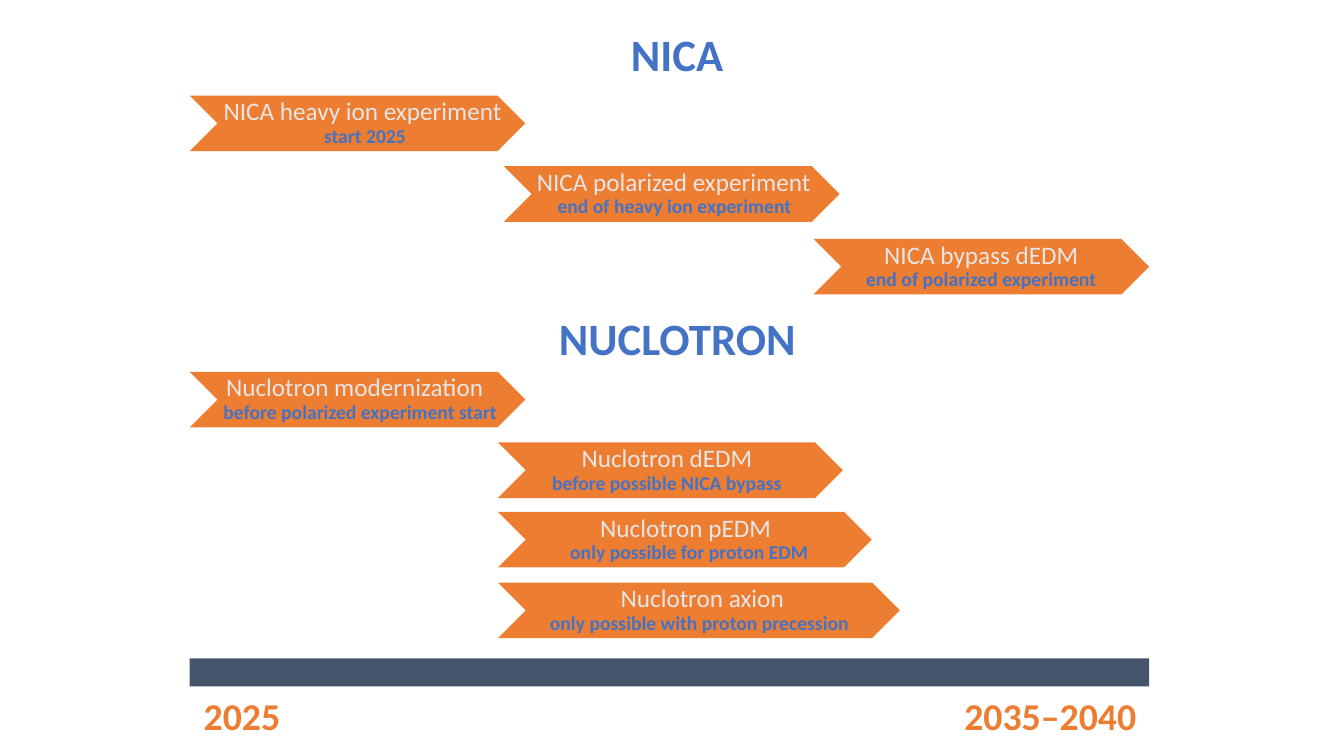
from dataclasses import dataclass

from pptx import Presentation
from pptx.dml.color import RGBColor
from pptx.enum.shapes import MSO_SHAPE as Kind
from pptx.enum.text import MSO_ANCHOR as Anchor, MSO_AUTO_SIZE as Fit, PP_ALIGN as Align
from pptx.shapes.base import BaseShape
from pptx.slide import Slide
from pptx.util import Cm, Pt

BLUE = RGBColor(0x44, 0x72, 0xC4)
ORANGE = RGBColor(0xED, 0x7D, 0x31)
SLATE = RGBColor(0x44, 0x54, 0x6A)
PALE = RGBColor(0xE7, 0xE6, 0xE6)


@dataclass
class Style:
    size: float
    color: RGBColor
    bold: bool = True
    anchor: Anchor = Anchor.MIDDLE
    spacing: float = 1.0


@dataclass
class Phase:
    left: float
    top: float
    width: float
    name: str
    name_mid: float
    note: str
    note_mid: float


HEAD = Style(32, BLUE, anchor=Anchor.BOTTOM, spacing=0.8)
NAME = Style(18, PALE, bold=False)
NOTE = Style(14, BLUE)
YEAR = Style(27, ORANGE)

PHASES = [
    Phase(4.78, 2.41, 8.46, "NICA heavy ion experiment", 9.14, "start 2025", 9.2),
    Phase(12.7, 4.19, 8.46, "NICA polarized experiment", 16.98, "end of heavy ion experiment", 17),
    Phase(20.5, 6.02, 8.46, "NICA bypass dEDM", 24.73, "end of polarized experiment", 24.73),
    Phase(4.78, 9.37, 8.46, "Nuclotron modernization", 8.94, "before polarized experiment start", 9.08),
    Phase(12.55, 11.15, 8.69, "Nuclotron dEDM", 16.81, "before possible NICA bypass", 16.81),
    Phase(12.55, 12.9, 9.42, "Nuclotron pEDM", 17.28, "only possible for proton EDM", 17.37),
    Phase(12.55, 14.68, 10.13, "Nuclotron axion", 17.7, "only possible with proton precession", 17.63),
]


def write(box: BaseShape, text: str, style: Style) -> None:
    frame = box.text_frame
    frame.auto_size = Fit.NONE
    frame.word_wrap = True
    frame.vertical_anchor = style.anchor
    frame.margin_left = frame.margin_right = 0
    frame.margin_top = frame.margin_bottom = 0
    para = frame.paragraphs[0]
    para.alignment = Align.CENTER
    para.line_spacing = style.spacing
    run = para.add_run()
    run.text = text
    font = run.font
    font.name = "Calibri"
    font.size = Pt(style.size)
    font.bold = style.bold
    font.color.rgb = style.color


def label(slide: Slide, text: str, mid: float, top: float, width: float,
          height: float, style: Style) -> None:
    box = slide.shapes.add_textbox(Cm(mid - width / 2), Cm(top), Cm(width), Cm(height))
    write(box, text, style)


def block(slide: Slide, kind: Kind, left: float, top: float, width: float,
          height: float, color: RGBColor) -> None:
    shape = slide.shapes.add_shape(kind, Cm(left), Cm(top), Cm(width), Cm(height))
    shape.shadow.inherit = False
    shape.fill.solid()
    shape.fill.fore_color.rgb = color
    shape.line.fill.background()


def draw(slide: Slide, phase: Phase) -> None:
    block(slide, Kind.CHEVRON, phase.left, phase.top, phase.width, 1.4, ORANGE)
    label(slide, phase.name, phase.name_mid, phase.top, 8, 0.76, NAME)
    label(slide, phase.note, phase.note_mid, phase.top + 0.7, 8, 0.61, NOTE)


def main() -> None:
    deck = Presentation()
    deck.slide_width, deck.slide_height = Cm(33.87), Cm(19.05)
    slide = deck.slides.add_slide(deck.slide_layouts[5])

    title = slide.shapes.title
    title.left, title.top = Cm(13.94), Cm(0.91)
    title.width, title.height = Cm(6.25), Cm(1.12)
    write(title, "NICA", HEAD)
    label(slide, "NUCLOTRON", 17.07, 8.05, 6.5, 1.12, HEAD)

    for phase in PHASES:
        draw(slide, phase)

    block(slide, Kind.RECTANGLE, 4.78, 16.59, 24.18, 0.71, SLATE)
    label(slide, "2025", 6.1, 17.45, 2.64, 1.14, YEAR)
    label(slide, "2035–2040", 26.47, 17.45, 5.08, 1.14, YEAR)

    deck.save("out.pptx")


if __name__ == "__main__":
    main()
